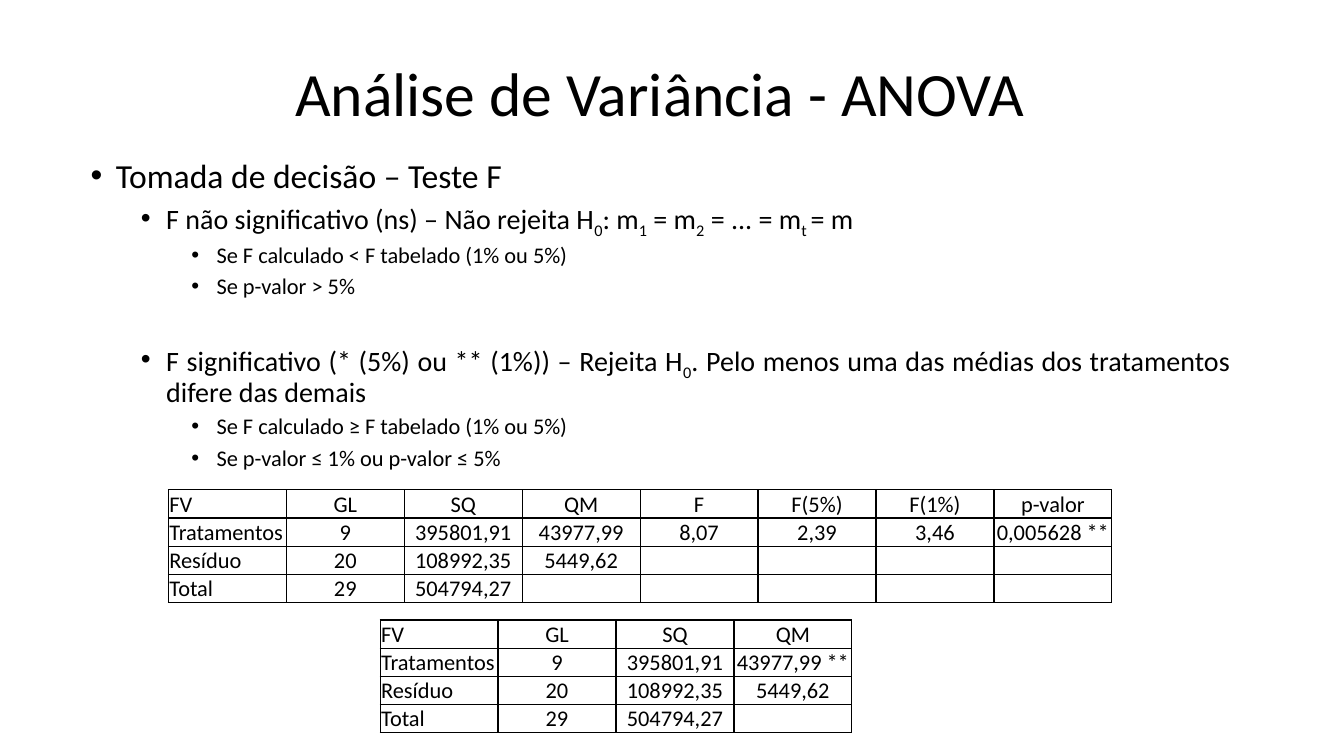
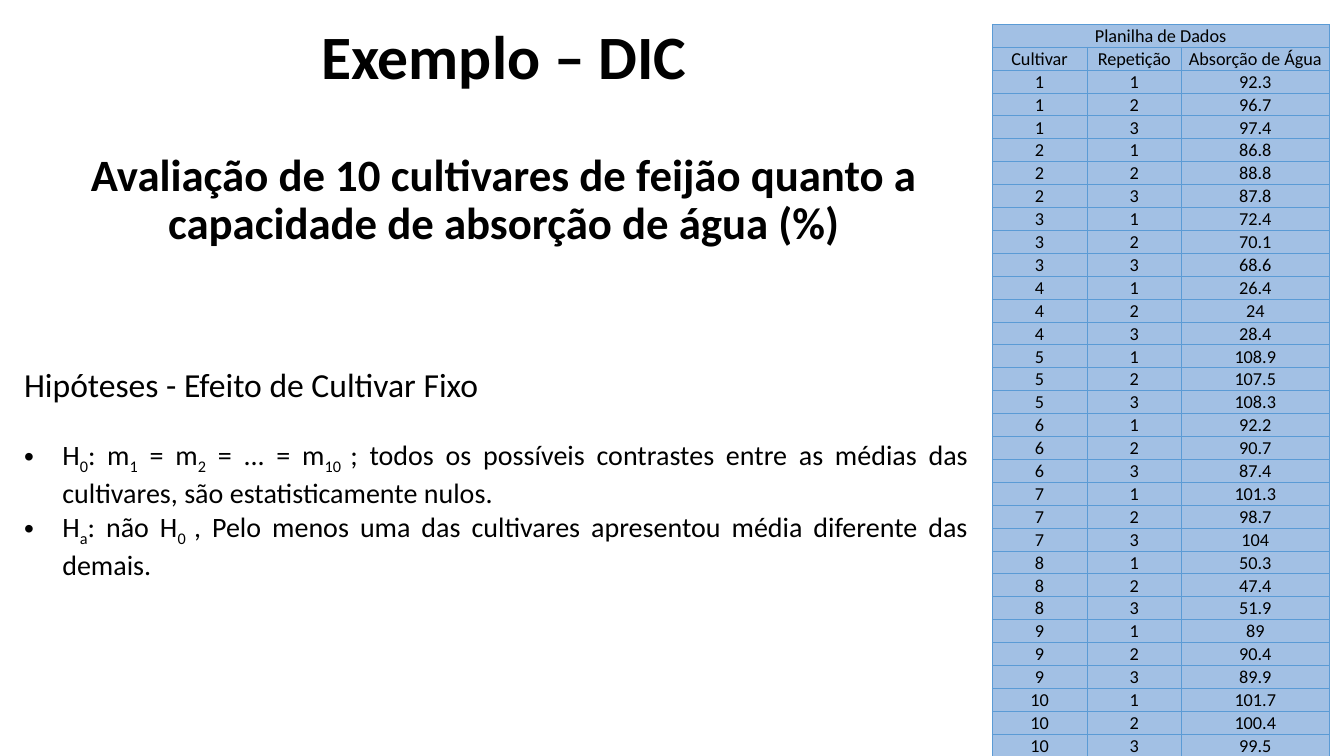
from lxml import etree
from pptx import Presentation
from pptx.dml.color import RGBColor
from pptx.enum.text import MSO_ANCHOR, PP_ALIGN
from pptx.oxml.ns import qn
from pptx.util import Inches, Pt

COLORS = {"text": "000000", "grid": "000000", "sheet": "A2C0E4", "sheet_grid": "5B9BD5"}
FONT = "Calibri"
LEFT, CENTER, JUSTIFY = PP_ALIGN.LEFT, PP_ALIGN.CENTER, PP_ALIGN.JUSTIFY
TOP, MIDDLE, BOTTOM = MSO_ANCHOR.TOP, MSO_ANCHOR.MIDDLE, MSO_ANCHOR.BOTTOM

DECISION = [
    (0, "Tomada de decisão – Teste F", 0),
    (1, "F não significativo (ns) – Não rejeita H|0|: m|1| = m|2| = ... = m|t |= m", 5),
    (2, "Se F calculado < F tabelado (1% ou 5%)", 5),
    (2, "Se p-valor > 5%", 5),
    (1, "F significativo (* (5%) ou ** (1%)) – Rejeita H|0|. Pelo menos uma das "
        "médias dos tratamentos difere das demais", 32),
    (2, "Se F calculado ≥ F tabelado (1% ou 5%)", 5),
    (2, "Se p-valor ≤ 1% ou p-valor ≤ 5%", 5),
]
LEVEL_SIZES = (24, 20, 16)
ANOVA = [
    ["FV", "GL", "SQ", "QM"],
    ["Tratamentos", "9", "395801,91", "43977,99"],
    ["Resíduo", "20", "108992,35", "5449,62"],
    ["Total", "29", "504794,27", ""],
]
F_TEST = [
    ["F", "F(5%)", "F(1%)", "p-valor"],
    ["8,07", "2,39", "3,46", "0,005628 **"],
    [""] * 4,
    [""] * 4,
]
HYPOTHESES = [
    "H|0|: m|1| = m|2| = ... = m|10 |; todos os possíveis contrastes entre as médias "
    "das cultivares, são estatisticamente nulos.",
    "H|a|: não H|0 |, Pelo menos uma das cultivares apresentou média diferente das demais.",
]
ABSORPTION = (
    "92.3 96.7 97.4 86.8 88.8 87.8 72.4 70.1 68.6 26.4 24 28.4 108.9 107.5 108.3 "
    "92.2 90.7 87.4 101.3 98.7 104 50.3 47.4 51.9 89 90.4 89.9 101.7 100.4 99.5"
).split()
REPETITIONS = 3


def add_runs(p, text, size, bold=False):
    """Add runs to a paragraph; every second part between bars is a subscript."""
    for i, part in enumerate(text.split("|")):
        r = p.add_run()
        r.text = part
        r.font.name = FONT
        r.font.size = Pt(size)
        r.font.bold = bold
        r.font.color.rgb = RGBColor.from_string(COLORS["text"])
        if i % 2:
            r.font._element.set("baseline", "-25000")


def add_box(slide, box, anchor=TOP):
    """Add a wrapping text box and return its text frame."""
    tf = slide.shapes.add_textbox(*map(Inches, box)).text_frame
    tf.word_wrap = True
    tf.vertical_anchor = anchor
    return tf


def add_paragraph(tf, text, size, align, before=0, spacing=1.0, bold=False, bullet=None):
    """Add a paragraph; bullet gives its left margin and hanging indent in inches."""
    first = tf.paragraphs[0]
    p = tf.add_paragraph() if first.runs else first
    if bullet:
        margin, hang = bullet
        pPr = p._p.get_or_add_pPr()
        pPr.set("marL", str(Inches(margin)))
        pPr.set("indent", str(-Inches(hang)))
        etree.SubElement(pPr, qn("a:buFont"), typeface="Arial")
        etree.SubElement(pPr, qn("a:buChar"), char="•")
    p.alignment = align
    p.line_spacing = spacing
    p.space_before = Pt(before)
    add_runs(p, text, size, bold)
    return p


def set_borders(cell, color, width):
    """Draw the four borders of a cell."""
    tcPr = cell._tc.get_or_add_tcPr()
    for i, side in enumerate(("lnL", "lnR", "lnT", "lnB")):
        ln = etree.Element(qn(f"a:{side}"), w=str(Pt(width)))
        fill = etree.SubElement(ln, qn("a:solidFill"))
        etree.SubElement(fill, qn("a:srgbClr"), val=color)
        tcPr.insert(i, ln)


def fill_cell(cell, text, size, align, anchor):
    """Set the margins and text of a cell."""
    cell.margin_left = cell.margin_right = cell.margin_top = Inches(0.01)
    cell.margin_bottom = 0
    cell.vertical_anchor = anchor
    p = cell.text_frame.paragraphs[0]
    p.alignment = align
    if text:
        add_runs(p, text, size)
    else:
        etree.SubElement(p._p, qn("a:endParaRPr"), sz=str(size * 100))


def add_grid(slide, left, top, widths, row_height, rows, size, anchor, grid, line,
             fill=None, first_align=CENTER):
    """Add a bordered table and return it."""
    box = (left, top, sum(widths), row_height * len(rows))
    table = slide.shapes.add_table(len(rows), len(widths), *map(Inches, box)).table
    table.first_row = table.horz_banding = False
    for column, width in zip(table.columns, widths):
        column.width = Inches(width)
    for i, row in enumerate(rows):
        table.rows[i].height = Inches(row_height)
        for j, text in enumerate(row):
            cell = table.cell(i, j)
            fill_cell(cell, text, size, CENTER if j else first_align, anchor)
            if fill:
                cell.fill.solid()
                cell.fill.fore_color.rgb = RGBColor.from_string(fill)
            else:
                cell.fill.background()
            set_borders(cell, grid, line)
    return table


def add_anova_table(slide, left, top, rows):
    """Add an analysis of variance table."""
    add_grid(slide, left, top, [1.17] * len(rows[0]), 0.28, rows, 16, MIDDLE,
             COLORS["grid"], 1, first_align=LEFT)


def add_data_sheet(slide, left, top):
    """Add the table of water absorption by cultivar and repetition."""
    rows = [["Planilha de Dados", "", ""], ["Cultivar", "Repetição", "Absorção de Água"]]
    for i, value in enumerate(ABSORPTION):
        rows.append([str(i // REPETITIONS + 1), str(i % REPETITIONS + 1), value])
    table = add_grid(slide, left, top, [0.94, 0.94, 1.46], 7.23 / len(rows), rows, 13,
                     BOTTOM, COLORS["sheet_grid"], 0.5, COLORS["sheet"])
    table.cell(0, 0).merge(table.cell(0, 2))


def build_decision_slide(slide):
    """Build the slide on the decision by the F test."""
    tf = add_box(slide, (0.8, 0.23, 11.5, 1.45), MIDDLE)
    add_paragraph(tf, "Análise de Variância - ANOVA", 44, CENTER, spacing=0.9)
    tf = add_box(slide, (0.8, 1.53, 11.5, 5.51))
    for level, text, before in DECISION:
        p = add_paragraph(tf, text, LEVEL_SIZES[level], JUSTIFY, before, 0.9,
                          bullet=(0.25 + 0.5 * level, 0.25))
        p.level = level
    add_anova_table(slide, 1.67, 4.86, [a + f for a, f in zip(ANOVA, F_TEST)])
    short = [list(row) for row in ANOVA]
    short[1][-1] += " **"
    add_anova_table(slide, 3.77, 6.15, short)


def build_example_slide(slide):
    """Build the slide with the example, its hypotheses and its data."""
    tf = add_box(slide, (0.3, 0.21, 9.4, 2.4))
    add_paragraph(tf, "Exemplo – DIC", 44, CENTER, spacing=0.9, bold=True)
    add_paragraph(tf, "Avaliação de 10 cultivares de feijão quanto a capacidade de "
                  "absorção de água (%)", 32, CENTER, 43, 0.9, bold=True)
    add_data_sheet(slide, 9.84, 0.24)
    tf = add_box(slide, (0.14, 3.56, 9.56, 2.18))
    add_paragraph(tf, "Hipóteses - Efeito de Cultivar Fixo", 24, JUSTIFY)
    for text, before in zip(HYPOTHESES, (24, 0)):
        add_paragraph(tf, text, 20, JUSTIFY, before, bullet=(0.38, 0.38))


def main():
    """Build and save the presentation."""
    prs = Presentation()
    prs.slide_width, prs.slide_height = Inches(13.33), Inches(7.5)
    for build in (build_decision_slide, build_example_slide):
        build(prs.slides.add_slide(prs.slide_layouts[6]))
    prs.save("out.pptx")


if __name__ == "__main__":
    main()
